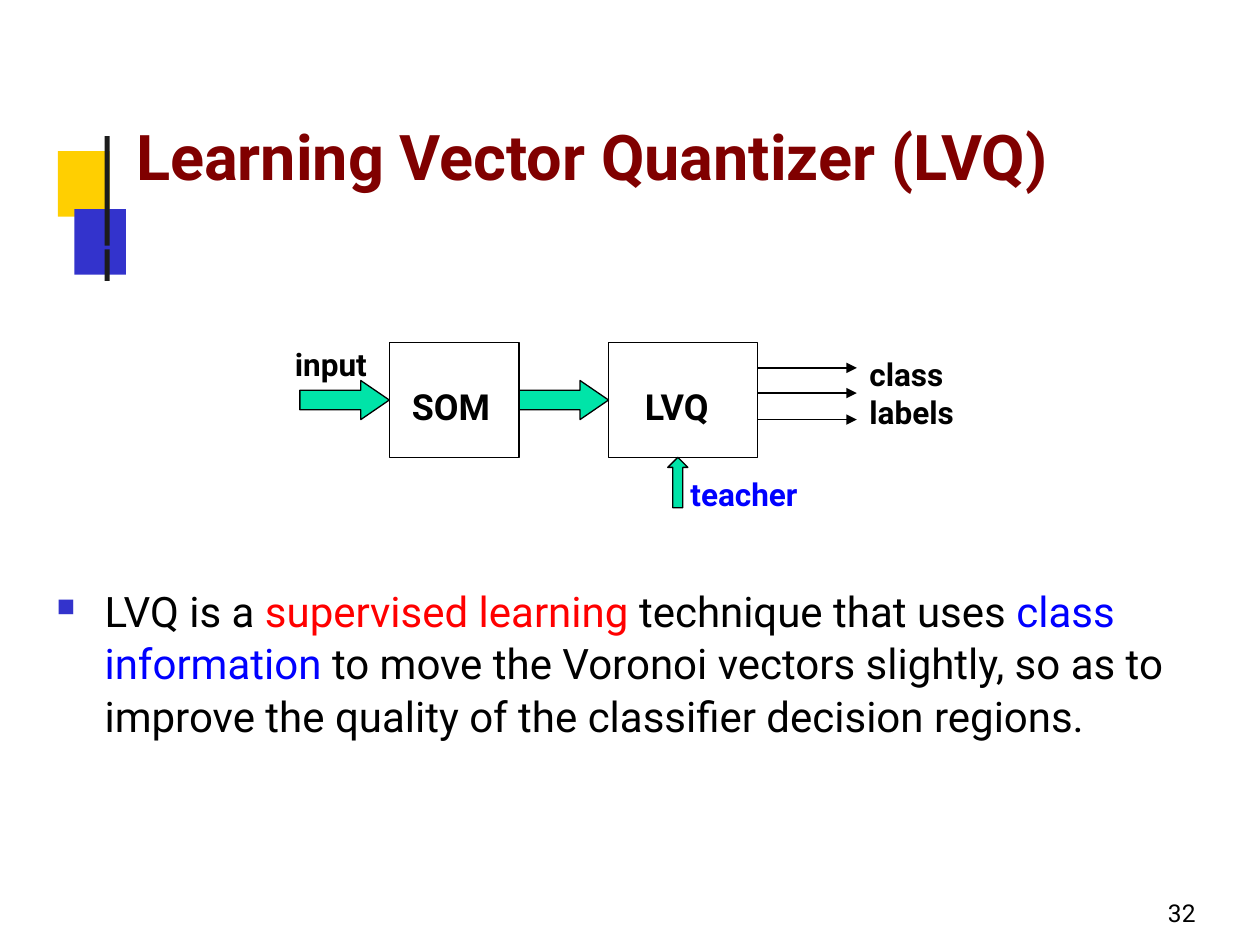
from lxml import etree
from pptx import Presentation
from pptx.dml.color import RGBColor
from pptx.enum import shapes, text
from pptx.oxml import ns
from pptx.util import Inches, Pt

COLORS = {
    "yellow": "FFCF01", "indigo": "3333CC", "bar": "1C1C1C", "maroon": "800000",
    "green": "00E4A8", "black": "000000", "blue": "0000FF", "red": "FF0000",
}
KIND = shapes.MSO_SHAPE


def color(name):
    return RGBColor.from_string(COLORS[name])


def write(frame, spans, size, bold=False, wrap=False, insets=(0, 0, 0, 0)):
    """Fill a text frame with one paragraph of (words, colour) spans."""
    frame.word_wrap = wrap
    for side, inset in zip(("left", "top", "right", "bottom"), insets):
        setattr(frame, f"margin_{side}", Inches(inset))
    para = frame.paragraphs[0]
    for words, tint in spans:
        span = para.add_run()
        span.text = words
        for name, value in {"name": "Roboto", "size": Pt(size), "bold": bold}.items():
            setattr(span.font, name, value)
        span.font.color.rgb = color(tint)
    return para


deck = Presentation()
deck.slide_width, deck.slide_height = Inches(10), Inches(7.5)
page = deck.slides.add_slide(deck.slide_layouts[6])

# Corner ornament: two squares and a broken bar
for left, top, width, height, tint in [
    (0.46, 1.2, 0.41, 0.52, "yellow"),
    (0.59, 1.66, 0.41, 0.52, "indigo"),
    (0.83, 1.08, 0.04, 0.87, "bar"),
    (0.83, 1.98, 0.04, 0.25, "bar"),
]:
    block = page.shapes.add_shape(
        KIND.RECTANGLE, Inches(left), Inches(top), Inches(width), Inches(height))
    block.shadow.inherit = False
    block.fill.solid()
    block.fill.fore_color.rgb = color(tint)
    block.line.fill.background()

# Network stages
for name, left, width, shift in [("SOM", 3.09, 1.03, 0.05), ("LVQ", 4.83, 1.18, 0.1)]:
    stage = page.shapes.add_shape(
        KIND.RECTANGLE, Inches(left), Inches(2.72), Inches(width), Inches(0.91))
    stage.shadow.inherit = False
    stage.fill.background()
    stage.line.color.rgb = color("black")
    stage.line.width = Pt(0.75)
    stage.text_frame.vertical_anchor = text.MSO_ANCHOR.MIDDLE
    para = write(stage.text_frame, [(name, "black")], 20.5, True, insets=(0, 0.1, shift, 0))
    para.alignment = text.PP_ALIGN.CENTER

# Block arrows into the stages
for kind, left, top, width, height, head in [
    (KIND.RIGHT_ARROW, 2.38, 3.02, 0.71, 0.31, 0.73),
    (KIND.RIGHT_ARROW, 4.12, 3.02, 0.71, 0.31, 0.73),
    (KIND.UP_ARROW, 5.3, 3.63, 0.16, 0.4, 0.5),
]:
    arrow = page.shapes.add_shape(
        kind, Inches(left), Inches(top), Inches(width), Inches(height))
    arrow.shadow.inherit = False
    arrow.adjustments[0], arrow.adjustments[1] = 0.5, head
    arrow.fill.solid()
    arrow.fill.fore_color.rgb = color("green")
    arrow.line.color.rgb = color("black")
    arrow.line.width = Pt(0.75)

# Output arrows
for y in (2.92, 3.12, 3.33):
    output = page.shapes.add_connector(
        shapes.MSO_CONNECTOR.STRAIGHT, Inches(6.01), Inches(y), Inches(6.8), Inches(y))
    output.line.color.rgb = color("black")
    output.line.width = Pt(0.75)
    etree.SubElement(output.line._get_or_add_ln(), ns.qn("a:tailEnd"), type="triangle")
    etree.SubElement(output._element.spPr, ns.qn("a:effectLst"))

# Title, labels, body and page number
body = [
    ("LVQ is a ", "black"), ("supervised learning ", "red"),
    ("technique that uses ", "black"), ("class information ", "blue"),
    ("to move the Voronoi vectors slightly, so as to improve the quality of "
     "the classifier decision regions.", "black"),
]
for left, top, width, height, spans, size, bold, wrap in [
    (1.08, 0.93, 8.9, 0.6, [("Learning Vector Quantizer (LVQ)", "maroon")], 36, True, True),
    (2.34, 2.74, 0.69, 0.3, [("input", "black")], 18, True, False),
    (5.48, 3.77, 0.9, 0.3, [("teacher", "blue")], 18, True, False),
    (6.9, 2.82, 0.77, 0.6, [("class labels", "black")], 18, True, True),
    (0.44, 4.63, 8.85, 1.25, body, 24, False, True),
    (9.27, 7.13, 0.27, 0.25, [("32", "black")], 14, False, False),
]:
    box = page.shapes.add_textbox(Inches(left), Inches(top), Inches(width), Inches(height))
    para = write(box.text_frame, spans, size, bold, wrap)
    if spans is body:
        para.line_spacing = 1.04
        props = para._p.get_or_add_pPr()
        props.set("marL", str(Inches(0.39)))
        props.set("indent", str(-Inches(0.38)))
        bullet_color = etree.SubElement(props, ns.qn("a:buClr"))
        etree.SubElement(bullet_color, ns.qn("a:srgbClr"), val=COLORS["indigo"])
        etree.SubElement(props, ns.qn("a:buSzPct"), val="60000")
        etree.SubElement(props, ns.qn("a:buChar"), char="■")

deck.save("out.pptx")
